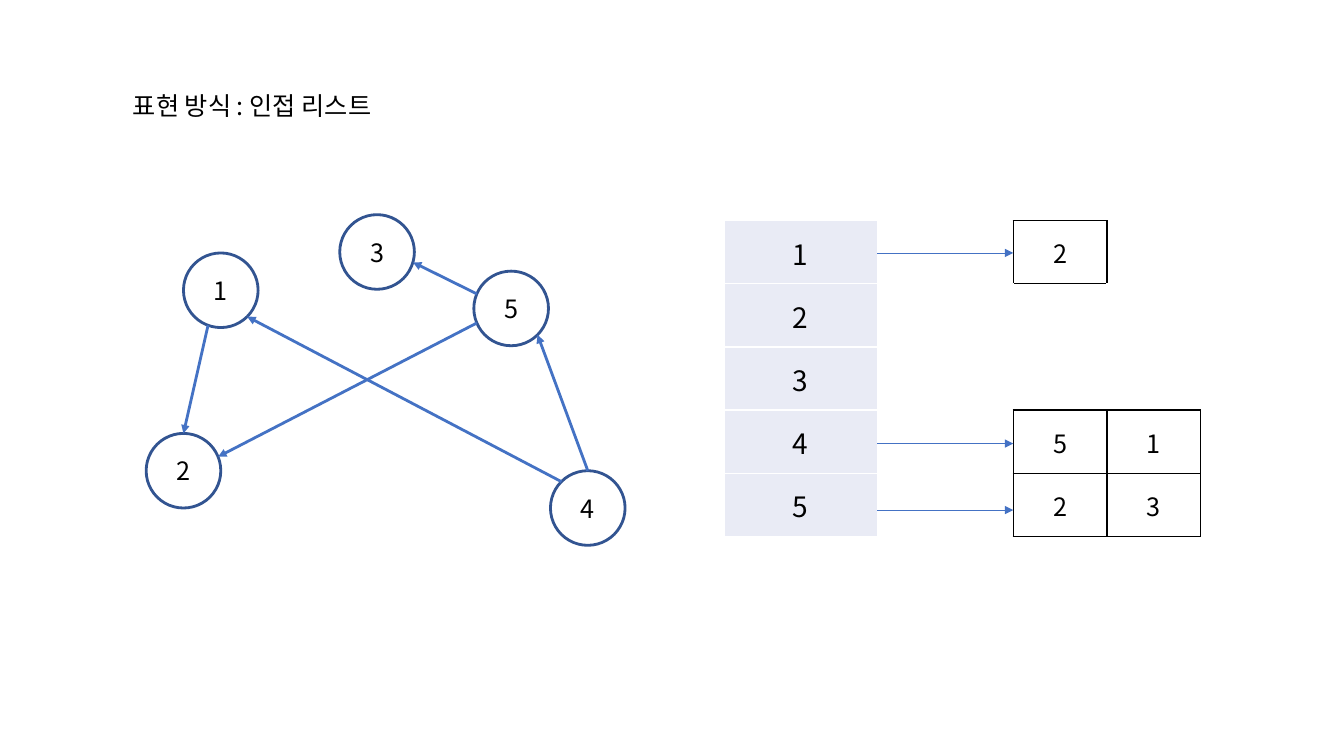
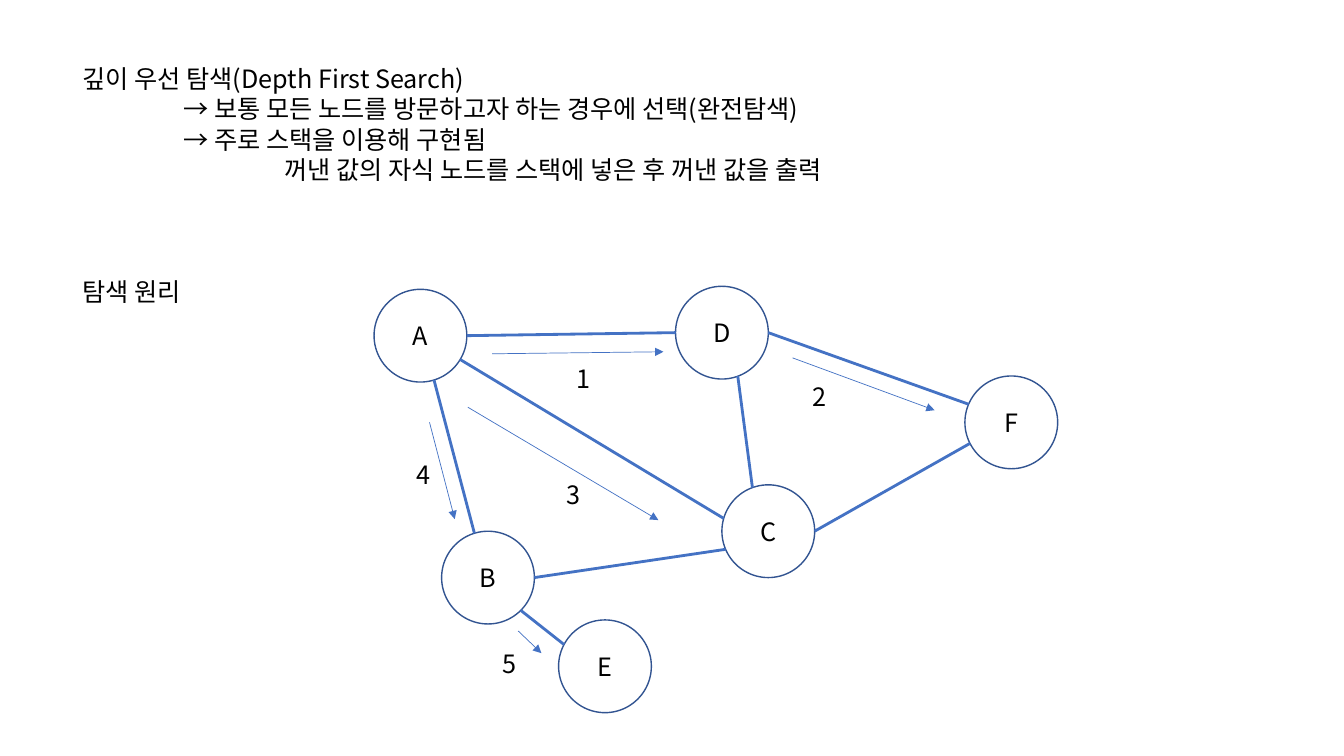
import math

from lxml import etree
from pptx import Presentation
from pptx import util as u
from pptx.dml import color
from pptx.enum import shapes, text
from pptx.oxml import ns

FONT = "Noto Sans CJK KR"
BLACK, WHITE, PALE = "000000", "FFFFFF", "E9EBF5"
OUTLINE, EDGE = "325491", "4472C4"
SIDES = {"a:lnL": (0, -1), "a:lnR": (0, 1), "a:lnT": (-1, 0), "a:lnB": (1, 0)}


def rgb(value):
    """Return a colour from its hex string."""
    return color.RGBColor.from_string(value)


def write(p, content, size=18, align=None, level=0, before=0, line=None):
    """Write formatted text in a paragraph."""
    r = p.add_run()
    r.text = content
    r.font.size, r.font.name = u.Pt(size), FONT
    r.font.color.rgb = rgb(BLACK)
    ea = etree.SubElement(r.font._element, ns.qn("a:ea"))
    ea.set("typeface", FONT)
    p.alignment = align
    p.space_before = u.Pt(before)
    if line:
        p.line_spacing = u.Pt(line)
    if level:
        pr = p._p.get_or_add_pPr()
        pr.set("marL", str(u.Inches(level)))
        pr.set("indent", "0")


def add_text(slide, box, lines):
    """Add a text box with one paragraph for each text and its format."""
    tf = slide.shapes.add_textbox(*map(u.Inches, box)).text_frame
    tf.word_wrap = True
    for i, (content, fmt) in enumerate(lines):
        p = tf.add_paragraph() if i else tf.paragraphs[0]
        write(p, content, **fmt)


def add_line(slide, start, end, width, arrow=False):
    """Draw a straight line, with an arrowhead at its end if asked."""
    points = map(u.Inches, (*start, *end))
    sp = slide.shapes.add_connector(shapes.MSO_CONNECTOR.STRAIGHT, *points)
    sp.line.color.rgb = rgb(EDGE)
    sp.line.width = u.Pt(width)
    if arrow:
        tail = etree.SubElement(sp.line._get_or_add_ln(), ns.qn("a:tailEnd"))
        tail.set("type", "triangle")
    etree.SubElement(sp._element.spPr, ns.qn("a:effectLst"))


def add_node(slide, x, y, size, label, width):
    """Draw a labelled circle."""
    box = map(u.Inches, (x, y, size, size))
    sp = slide.shapes.add_shape(shapes.MSO_SHAPE.OVAL, *box)
    sp.shadow.inherit = False
    sp.fill.background()
    sp.line.color.rgb = rgb(OUTLINE)
    sp.line.width = u.Pt(width)
    tf = sp.text_frame
    tf.vertical_anchor = text.MSO_ANCHOR.MIDDLE
    write(tf.paragraphs[0], label, align=text.PP_ALIGN.CENTER)


def add_graph(slide, left, top, size, nodes, edges, width, arrow=False):
    """Draw nodes and the edges that leave and meet them at given angles."""
    for label, (x, y) in nodes.items():
        add_node(slide, left + x, top + y, size, label, width)

    def rim(label, angle):
        """Return the point of a node's rim at an angle, clockwise from right."""
        x, y = nodes[label]
        a, radius = math.radians(angle), size / 2
        return (left + x + radius * (1 + math.cos(a)),
                top + y + radius * (1 + math.sin(a)))

    for source, leave, target, meet in edges:
        add_line(slide, rim(source, leave), rim(target, meet), 2, arrow)


def add_steps(slide, left, top, steps):
    """Draw the numbered arrows of a search in order."""
    for number, (x1, y1, x2, y2, tx, ty) in enumerate(steps, 1):
        add_line(slide, (left + x1, top + y1), (left + x2, top + y2), 0.5, True)
        add_text(slide, (left + tx, top + ty, 0.34, 0.4), [(str(number), {})])


def add_grid(slide, box, rows, fill, edge, size):
    """Add a table whose borders are drawn round the cells that hold text."""
    shape = slide.shapes.add_table(len(rows), len(rows[0]), *map(u.Inches, box))
    table = shape.table
    table.first_row = table.horz_banding = False
    filled = {(i, j) for i, row in enumerate(rows)
              for j, value in enumerate(row) if value}
    for i, row in enumerate(rows):
        for j, value in enumerate(row):
            cell = table.cell(i, j)
            cell.margin_left = cell.margin_right = cell.margin_top = u.Inches(0.01)
            cell.margin_bottom = 0
            cell.vertical_anchor = text.MSO_ANCHOR.MIDDLE
            if value:
                write(cell.text_frame.paragraphs[0], value, size=size,
                      align=text.PP_ALIGN.CENTER)
            pr = cell._tc.get_or_add_tcPr()
            for tag, (di, dj) in SIDES.items():
                ln = etree.SubElement(pr, ns.qn(tag), w=str(u.Pt(1)))
                solid = etree.SubElement(ln, ns.qn("a:solidFill"))
                drawn = filled & {(i, j), (i + di, j + dj)}
                etree.SubElement(solid, ns.qn("a:srgbClr"),
                                 val=edge if drawn else WHITE)
            cell.fill.solid()
            cell.fill.fore_color.rgb = rgb(fill)


def add_adjacency(slide, left, top):
    """Draw the vertex column and the list each vertex points to."""
    height, column, gap = 3.13, 1.52, 1.35
    add_grid(slide, (left, top, column, height), [[n] for n in "12345"],
             PALE, WHITE, 20)
    lists = [["2", ""], ["", ""], ["", ""], ["5", "1"], ["2", "3"]]
    start = left + column
    add_grid(slide, (start + gap, top, 1.86, height), lists, WHITE, BLACK, 18)
    for y in (0.32, 2.21, 2.87):
        add_line(slide, (start, top + y), (start + gap, top + y), 0.5, True)


def list_slide(slide):
    """Build the slide on adjacency lists."""
    add_text(slide, (1.22, 0.85, 2.89, 0.4), [("표현 방식 : 인접 리스트", {})])
    nodes = {"1": (0.37, 0.38), "2": (0, 2.17), "3": (1.92, 0),
             "4": (4.01, 2.54), "5": (3.25, 0.56)}
    edges = [("1", 110, "2", -90), ("4", -135, "1", 45), ("5", 157, "2", -22),
             ("5", -157, "3", 16), ("4", -90, "5", 45)]
    add_graph(slide, 1.45, 2.13, 0.74, nodes, edges, 2, arrow=True)
    add_adjacency(slide, 7.18, 2.19)


def search_slide(slide):
    """Build the slide on depth first search."""
    lines = [("깊이 우선 탐색(Depth First Search)", 0, 0),
             ("→ 보통 모든 노드를 방문하고자 하는 경우에 선택(완전탐색)", 1, 0),
             ("→ 주로 스택을 이용해 구현됨", 1, 0),
             ("꺼낸 값의 자식 노드를 스택에 넣은 후 꺼낸 값을 출력", 2, 0),
             ("탐색 원리", 0, 66)]
    add_text(slide, (0.72, 0.58, 8.33, 2.83),
             [(content, dict(level=level, before=before, line=21.6))
              for content, level, before in lines])
    left, top = 3.71, 2.84
    nodes = {"A": (0, 0.03), "B": (0.67, 2.43), "C": (3.45, 1.97),
             "D": (2.99, 0), "E": (1.83, 3.31), "F": (5.86, 0.89)}
    edges = [("A", 73, "B", -107), ("A", 31, "C", -164), ("D", 70, "C", -110),
             ("A", 0, "D", 180), ("C", 0, "F", 153), ("C", 157, "B", 0),
             ("D", 0, "F", -157), ("E", -152, "B", 45)]
    add_graph(slide, left, top, 0.92, nodes, edges, 1)
    add_steps(slide, left, top, [(1.17, 0.67, 2.87, 0.65, 1.91, 0.72),
                                 (4.15, 0.71, 5.56, 1.23, 4.25, 0.89),
                                 (0.93, 1.2, 2.82, 2.32, 1.81, 1.87),
                                 (0.55, 1.35, 0.8, 2.31, 0.32, 1.67),
                                 (1.43, 3.42, 1.66, 3.64, 1.18, 3.54)])


def main():
    """Build and save the presentation."""
    prs = Presentation()
    prs.slide_width, prs.slide_height = u.Inches(13.33), u.Inches(7.5)
    for build in (list_slide, search_slide):
        build(prs.slides.add_slide(prs.slide_layouts[6]))
    prs.save("out.pptx")


if __name__ == "__main__":
    main()
